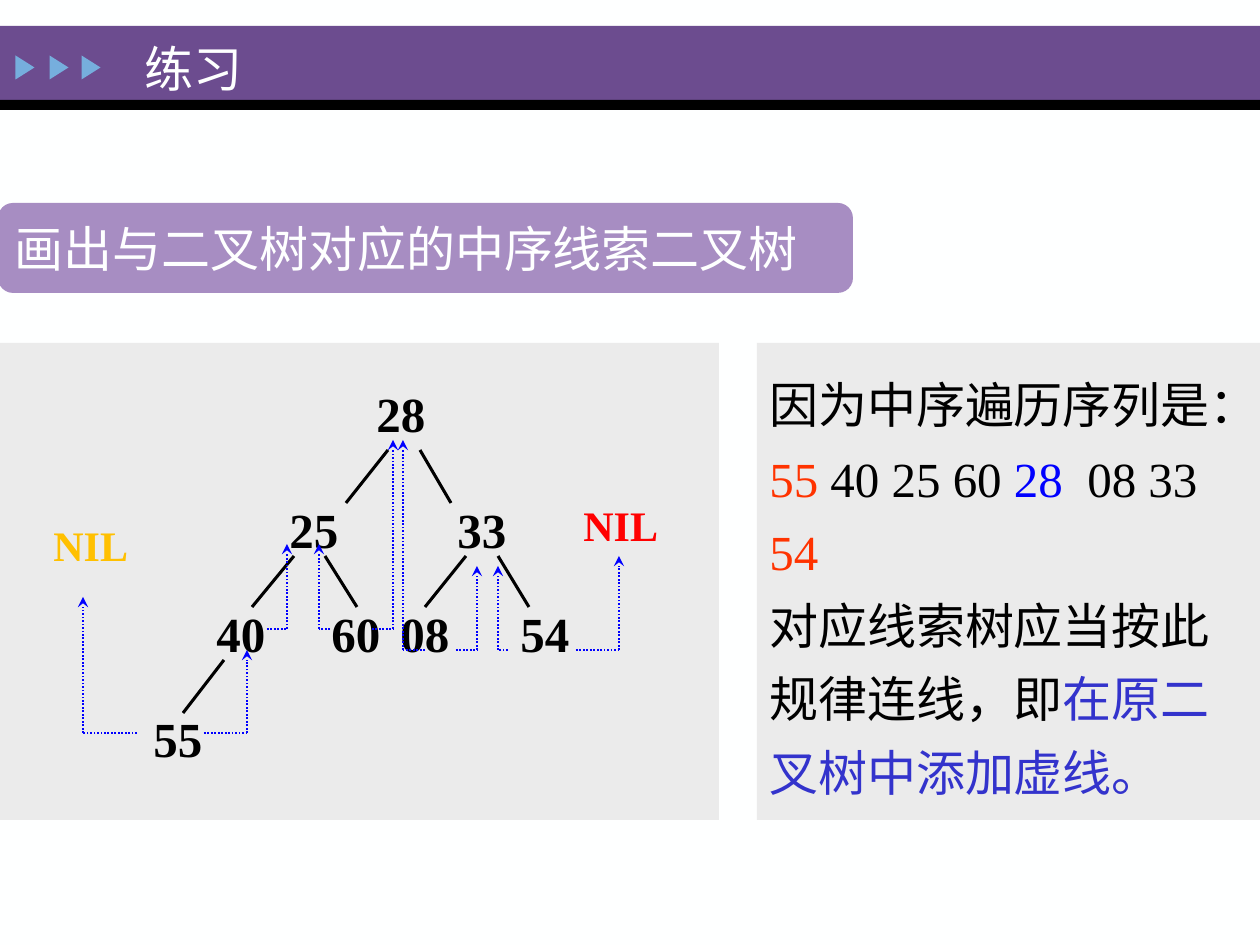
"""Build the exercise slide on the inorder threaded binary tree."""
from dataclasses import dataclass

from lxml.etree import SubElement
from pptx import Presentation
from pptx.dml.color import RGBColor
from pptx.enum.dml import MSO_LINE_DASH_STYLE as Dash
from pptx.enum.shapes import MSO_CONNECTOR as Connector, MSO_SHAPE as Shape
from pptx.enum.text import MSO_ANCHOR as Anchor, PP_ALIGN as Align
from pptx.oxml.ns import qn
from pptx.util import Pt

EMU_PER_PX = 914400 / 126


@dataclass(frozen=True)
class Theme:
    font: str = "Times New Roman"
    paper: str = "FEFFFF"
    banner: str = "6C4C8F"
    marker: str = "76AEDD"
    prompt: str = "A78DC2"
    panel: str = "EBEBEB"
    ink: str = "000000"
    thread: str = "0000FF"
    ends: str = "FF3300"
    advice: str = "3333CC"
    first_nil: str = "FFC000"
    last_nil: str = "FF0000"
    body_size: int = 28
    nil_size: int = 24


def px(length):
    return round(length * EMU_PER_PX)


def rgb(color):
    return RGBColor.from_string(color)


def write(frame, paragraphs, *, font, size, bold=False, spacing=None,
          anchor=Anchor.TOP, wrap=True):
    """Fill a frame with paragraphs, each a list of (words, color) runs."""
    frame.word_wrap = wrap
    frame.vertical_anchor = anchor
    for index, runs in enumerate(paragraphs):
        paragraph = frame.add_paragraph() if index else frame.paragraphs[0]
        paragraph.alignment = Align.LEFT
        if spacing:
            paragraph.line_spacing = spacing
        for words, color in runs:
            run = paragraph.add_run()
            run.text = words
            run.font.name = font
            run.font.size = Pt(size)
            run.font.bold = bold
            run.font.color.rgb = rgb(color)


class Painter:
    """Draws styled elements on one slide, measured in px."""

    def __init__(self, slide, theme):
        self.slide = slide
        self.theme = theme
        slide.background.fill.solid()
        slide.background.fill.fore_color.rgb = rgb(theme.paper)

    def block(self, box, color, kind=Shape.RECTANGLE, rotation=0):
        block = self.slide.shapes.add_shape(kind, *map(px, box))
        block.shadow.inherit = False
        block.fill.solid()
        block.fill.fore_color.rgb = rgb(color)
        block.line.fill.background()
        block.rotation = rotation
        return block

    def text(self, box, paragraphs, size=None, **style):
        label = self.slide.shapes.add_textbox(*map(px, box))
        write(label.text_frame, paragraphs, font=self.theme.font,
              size=size or self.theme.body_size, **style)

    def line(self, start, end, color, width, dash=None, arrow=False):
        line = self.slide.shapes.add_connector(
            Connector.STRAIGHT, *map(px, start + end))
        line.line.color.rgb = rgb(color)
        line.line.width = Pt(width)
        if dash:
            line.line.dash_style = dash
        if arrow:
            SubElement(line.line._get_or_add_ln(), qn("a:tailEnd"), type="stealth")
        SubElement(line._element.spPr, qn("a:effectLst"))

    def branch(self, parent, child):
        self.line(parent, child, self.theme.ink, 1.75)

    def thread(self, start, tip):
        corner = (tip[0], start[1])
        style = dict(color=self.theme.thread, width=1, dash=Dash.ROUND_DOT)
        self.line(start, corner, **style)
        self.line(corner, tip, arrow=True, **style)


def draw_header(painter):
    theme = painter.theme
    painter.block((0, 26, 1260, 74), theme.banner)
    painter.block((0, 100, 1260, 10), theme.ink)
    for left in (13, 47, 79):
        painter.block((left, 58, 24, 19), theme.marker,
                      Shape.ISOSCELES_TRIANGLE, rotation=90)
    painter.text((132, 21, 323, 94), [[("练习", theme.paper)]],
                 anchor=Anchor.MIDDLE)


def draw_prompt(painter):
    theme = painter.theme
    prompt = painter.block((-2, 203, 855, 90), theme.prompt,
                           Shape.ROUNDED_RECTANGLE)
    write(prompt.text_frame, [[("画出与二叉树对应的中序线索二叉树", theme.paper)]],
          font=theme.font, size=theme.body_size, anchor=Anchor.MIDDLE)


def draw_tree(painter):
    theme = painter.theme
    painter.block((0, 343, 719, 477), theme.panel)
    levels = {
        377: {"28": 364},
        493: {"25": 277, "33": 445},
        597: {"40": 204, "60": 319, "08": 388, "54": 508},
        702: {"55": 141},
    }
    for top, nodes in levels.items():
        for key, left in nodes.items():
            painter.text((left, top, 74, 72), [[(key, theme.ink)]],
                         bold=True, wrap=False)
    branches = [
        ((388, 450), (346, 503)), ((420, 450), (451, 503)),
        ((294, 556), (252, 607)), ((325, 556), (357, 607)),
        ((466, 556), (425, 607)), ((498, 556), (529, 607)),
        ((224, 660), (183, 713)),
    ]
    for parent, child in branches:
        painter.branch(parent, child)


def draw_threads(painter):
    theme = painter.theme
    threads = [
        ((137, 733), (83, 597)), ((204, 733), (247, 650)),
        ((267, 629), (287, 544)), ((330, 629), (319, 544)),
        ((372, 629), (393, 440)), ((425, 650), (403, 440)),
        ((456, 650), (477, 566)), ((508, 650), (498, 566)),
        ((576, 650), (619, 556)),
    ]
    for start, tip in threads:
        painter.thread(start, tip)
    for left, top, color in ((41, 513, theme.first_nil), (571, 493, theme.last_nil)):
        painter.text((left, top, 101, 64), [[("NIL", color)]],
                     size=theme.nil_size, bold=True, wrap=False)


def draw_explanation(painter):
    theme = painter.theme
    painter.block((757, 343, 503, 477), theme.panel)
    sequence = [
        ("因为中序遍历序列是：", theme.ink), ("55", theme.ends),
        (" 40 25 60 ", theme.ink), ("28", theme.thread),
        ("  08 33 ", theme.ink), ("54", theme.ends),
    ]
    rule = [("对应线索树应当按此规律连线，即", theme.ink),
            ("在原二叉树中添加虚线。", theme.advice)]
    painter.text((757, 354, 503, 459), [sequence, rule], spacing=1.25)


def main():
    deck = Presentation()
    deck.slide_width, deck.slide_height = px(1260), px(945)
    painter = Painter(deck.slides.add_slide(deck.slide_layouts[6]), Theme())
    draw_header(painter)
    draw_prompt(painter)
    draw_tree(painter)
    draw_explanation(painter)
    draw_threads(painter)
    deck.save("out.pptx")


if __name__ == "__main__":
    main()
